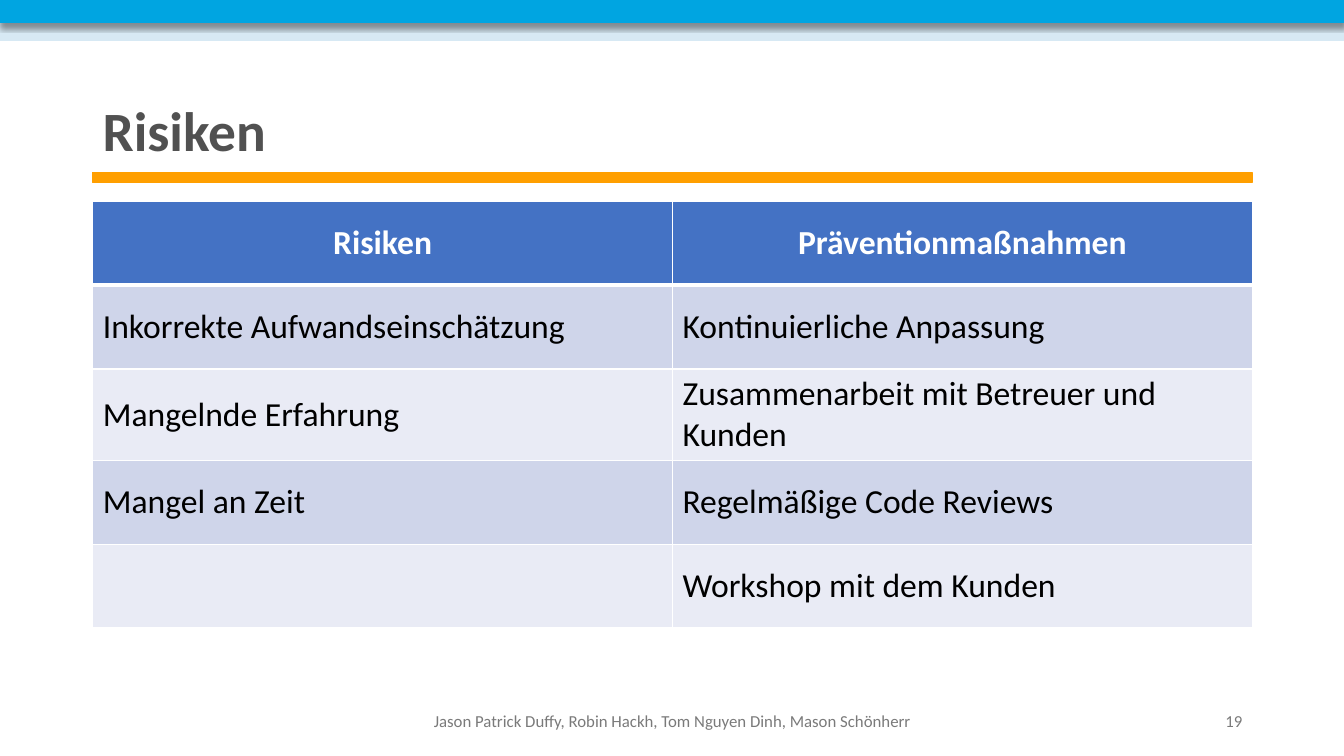
from lxml import etree
from pptx import Presentation, util as u
from pptx.dml.color import RGBColor
from pptx.enum import shapes, text
from pptx.oxml import parse_xml

COLORS = {
    "sky": "00A5E1", "pale": "D7E9F4", "orange": "FF9F00",
    "title": "515151", "footer": "7A7A7A", "header": "4472C4",
    "odd": "CFD5EA", "even": "E9EBF5", "white": "FFFFFF", "black": "000000",
}
NS = "http://schemas.openxmlformats.org/drawingml/2006/main"
WIDTH, HEIGHT = 13.33, 7.5
MARGIN, CONTENT = 0.92, 11.5
FOOTER_TOP, FOOTER_HEIGHT = 6.95, 0.4


def color(name):
    return RGBColor.from_string(COLORS[name])


def write(frame, words, size=24, tint="black", bold=False,
          align=text.PP_ALIGN.LEFT, spacing=1.0):
    frame.word_wrap = True
    frame.vertical_anchor = text.MSO_ANCHOR.MIDDLE
    para = frame.paragraphs[0]
    para.alignment = align
    para.line_spacing = spacing
    span = para.add_run()
    span.text = words
    span.font.name = "Calibri"
    span.font.size = u.Pt(size)
    span.font.bold = bold
    span.font.color.rgb = color(tint)


deck = Presentation()
deck.slide_width, deck.slide_height = u.Inches(WIDTH), u.Inches(HEIGHT)
page = deck.slides.add_slide(deck.slide_layouts[6])

# Bands at the top and rule under the title
bands = [
    ("pale", -0.1, 0.16, 13.57, 0.24),
    ("sky", 0, -0.01, WIDTH, 0.23),
    ("orange", MARGIN, 1.71, CONTENT, 0.1),
]
for name, *place in bands:
    band = page.shapes.add_shape(shapes.MSO_SHAPE.RECTANGLE, *map(u.Inches, place))
    band.shadow.inherit = False
    band.fill.solid()
    band.fill.fore_color.rgb = color(name)
    band.line.color.rgb = color(name)
    band.line.width = u.Pt(1)
    if name == "sky":
        effects = band.fill._xPr.find(f"{{{NS}}}effectLst")
        effects.append(parse_xml(
            f'<a:outerShdw xmlns:a="{NS}" blurRad="{u.Pt(4)}" dist="{u.Pt(3)}" '
            f'dir="5400000" rotWithShape="0"><a:srgbClr val="{COLORS["black"]}">'
            '<a:alpha val="40000"/></a:srgbClr></a:outerShdw>'))

# Title, footer and page number
labels = [
    ("Risiken", (MARGIN, 0.98, CONTENT, 0.69),
     dict(size=39.6, tint="title", bold=True, spacing=0.9)),
    ("Jason Patrick Duffy, Robin Hackh, Tom Nguyen Dinh, Mason Schönherr",
     (3.92, FOOTER_TOP, 5.5, FOOTER_HEIGHT),
     dict(size=12, tint="footer", align=text.PP_ALIGN.CENTER)),
    ("19", (9.42, FOOTER_TOP, 3, FOOTER_HEIGHT),
     dict(size=12, tint="footer", align=text.PP_ALIGN.RIGHT)),
]
for words, place, style in labels:
    box = page.shapes.add_textbox(*map(u.Inches, place))
    write(box.text_frame, words, **style)

# Table of risks and countermeasures
risks = [
    ("Risiken", "Präventionmaßnahmen"),
    ("Inkorrekte Aufwandseinschätzung", "Kontinuierliche Anpassung"),
    ("Mangelnde Erfahrung", "Zusammenarbeit mit Betreuer und Kunden"),
    ("Mangel an Zeit", "Regelmäßige Code Reviews"),
    ("", "Workshop mit dem Kunden"),
]
row_heights = [0.83, 0.83, 0.91, 0.83, 0.83]
table = page.shapes.add_table(
    len(risks), 2, u.Inches(MARGIN), u.Inches(2),
    u.Inches(CONTENT), u.Inches(sum(row_heights))).table
for column in table.columns:
    column.width = u.Inches(CONTENT / 2)

for r, (row, height) in enumerate(zip(risks, row_heights)):
    table.rows[r].height = u.Inches(height)
    for c, words in enumerate(row):
        cell = table.cell(r, c)
        cell.fill.solid()
        cell.fill.fore_color.rgb = color("header" if r == 0 else "odd" if r % 2 else "even")
        cell.vertical_anchor = text.MSO_ANCHOR.MIDDLE
        if words and r == 0:
            write(cell.text_frame, words, tint="white", bold=True,
                  align=text.PP_ALIGN.CENTER)
        elif words:
            write(cell.text_frame, words)
        cell.vertical_anchor = text.MSO_ANCHOR.MIDDLE

        # White borders, thicker between header and body
        properties = cell._tc.get_or_add_tcPr()
        for i, side in enumerate("LRTB"):
            thick = (r, side) in [(0, "B"), (1, "T")]
            border = etree.Element(f"{{{NS}}}ln{side}", w=str(u.Pt(3 if thick else 1)))
            fill = etree.SubElement(border, f"{{{NS}}}solidFill")
            etree.SubElement(fill, f"{{{NS}}}srgbClr", val=COLORS["white"])
            properties.insert(i, border)

deck.save("out.pptx")
